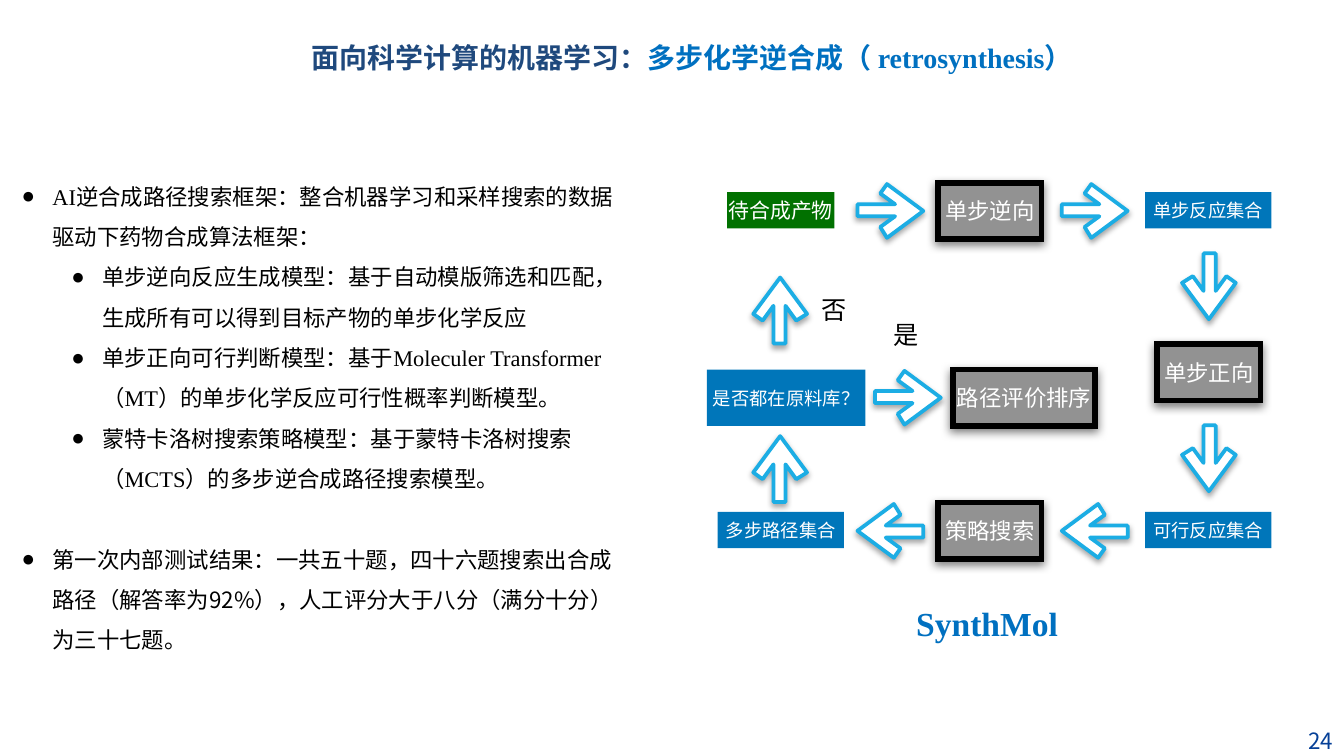
"""Build the slide on multi-step retrosynthesis."""
from typing import NamedTuple

from lxml.etree import SubElement
from pptx import Presentation
from pptx.dml.color import RGBColor
from pptx.enum.shapes import MSO_SHAPE
from pptx.enum.text import MSO_ANCHOR, MSO_AUTO_SIZE, PP_ALIGN
from pptx.oxml.ns import qn
from pptx.util import Pt

PX = 9144
WIDE = 1000
SERIF, SANS, CJK = "Times New Roman", "Arial", "Noto Sans CJK SC"
HEX = {
    "black": "000000", "white": "FFFFFF", "gray": "929292", "green": "017100",
    "blue": "0076BA", "sky": "1CADE4", "title": "1F497D", "accent": "0070C0",
    "page": "064097",
}
TIP = [(22, 0), (17, 7), (28, 15), (0, 15), (0, 24), (28, 24), (17, 32), (22, 40), (49, 20)]
TIP_W, TIP_H = 49, 40
PITCH = 21.6
LEFT, MID, RIGHT = 581, 737, 899
TOP, LOW, ASK = 157, 395, 296


class Node(NamedTuple):
    text: str
    x: int
    y: int
    wide: int
    high: int
    fill: str
    size: float


class Arrow(NamedTuple):
    x: int
    y: int
    turn: int


class Label(NamedTuple):
    text: str
    box: tuple[int, int, int, int]
    face: str
    size: float
    color: str
    bold: bool = False
    align: PP_ALIGN = PP_ALIGN.CENTER


class Point(NamedTuple):
    text: str
    level: int = 0
    face: str = SERIF
    gap: float = 0


def model(text: str, x: int, y: int, wide: int = 77) -> Node:
    return Node(text, x, y, wide, 42, "gray", 12)


def batch(text: str, x: int, y: int, wide: int = 94, high: int = 27) -> Node:
    return Node(text, x, y, wide, high, "blue", 9.8)


NODES = [
    Node("待合成产物", LEFT, TOP, 80, 27, "green", 11.2),
    model("单步逆向", MID, TOP),
    batch("单步反应集合", RIGHT, TOP),
    model("单步正向", RIGHT + 1, 277),
    batch("可行反应集合", RIGHT, LOW),
    model("策略搜索", MID, LOW),
    batch("多步路径集合", LEFT, LOW),
    batch("是否都在原料库？", 585, ASK, 118, 42),
    model("路径评价排序", 762, ASK, 106),
]
ARROWS = [
    Arrow(662, TOP, 0), Arrow(814, TOP, 0), Arrow(RIGHT, 213, 90),
    Arrow(RIGHT, 341, 90), Arrow(814, LOW, 180), Arrow(662, LOW, 180),
    Arrow(LEFT - 1, 349, 270), Arrow(675, ASK, 0), Arrow(LEFT - 1, 231, 270),
]
LABELS = [
    Label("否", (607, 214, 27, 33), SERIF, 13.5, "black"),
    Label("是", (661, 232, 27, 33), SERIF, 13.5, "black"),
    Label("SynthMol", (676, 445, 117, 37), SERIF, 18, "accent", True),
    Label("24", (865, 529, 127, 44), CJK, 12, "page", align=PP_ALIGN.RIGHT),
]
POINTS = [
    Point("AI逆合成路径搜索框架：整合机器学习和采样搜索的数据驱动下药物合成算法框架："),
    Point("单步逆向反应生成模型：基于自动模版筛选和匹配，生成所有可以得到目标产物的单步化学反应", 1),
    Point("单步正向可行判断模型：基于Moleculer Transformer（MT）的单步化学反应可行性概率判断模型。", 1),
    Point("蒙特卡洛树搜索策略模型：基于蒙特卡洛树搜索（MCTS）的多步逆合成路径搜索模型。", 1),
    Point("第一次内部测试结果：一共五十题，四十六题搜索出合成路径（解答率为92%），人工评分大于八分（满分十分）为三十七题。",
          face=CJK, gap=PITCH),
]


def paint(name: str) -> RGBColor:
    return RGBColor.from_string(HEX[name])


def style(par, face: str, size: float, color: str, bold: bool = False) -> None:
    font = par.font
    font.size, font.bold, font.name = Pt(size), bold, face
    font.color.rgb = paint(color)
    base = par._p.get_or_add_pPr().find(qn("a:defRPr"))
    SubElement(base, qn("a:ea"), typeface=CJK)


def place(shape, x: int, y: int, wide: int, high: int) -> None:
    shape.left, shape.top = x * PX, y * PX
    shape.width, shape.height = wide * PX, high * PX


def frame(shape, anchor: MSO_ANCHOR, side: int = 0, top: int = 0, wrap: bool = True):
    text = shape.text_frame
    text.margin_left = text.margin_right = side * PX
    text.margin_top = text.margin_bottom = top * PX
    text.vertical_anchor, text.word_wrap = anchor, wrap
    text.auto_size = MSO_AUTO_SIZE.NONE
    return text


def shade(shape, alpha: int, blur: float, drop: float) -> None:
    group = shape._element.spPr.find(qn("a:effectLst"))
    cast = SubElement(group, qn("a:outerShdw"), blurRad=str(Pt(blur)),
                      dist=str(Pt(drop)), dir="5400000", rotWithShape="0")
    tone = SubElement(cast, qn("a:srgbClr"), val=HEX["black"])
    SubElement(tone, qn("a:alpha"), val=str(alpha * 1000))


def coat(shape, fill: str, line: str = "", width: float = 0) -> None:
    shape.fill.solid()
    shape.fill.fore_color.rgb = paint(fill)
    if line:
        shape.line.color.rgb = paint(line)
        shape.line.width = Pt(width)
    else:
        shape.line.fill.background()
    shape.shadow.inherit = False


def draw_node(shapes, node: Node) -> None:
    box = shapes.add_shape(
        MSO_SHAPE.RECTANGLE, (2 * node.x - node.wide) // 2 * PX,
        (2 * node.y - node.high) // 2 * PX, node.wide * PX, node.high * PX)
    if node.fill == "gray":
        coat(box, node.fill, "black", 3)
        SubElement(box._element.spPr.find(qn("a:ln")), qn("a:miter"), lim="400000")
        shade(box, 50, 5, 2)
    else:
        coat(box, node.fill)
    par = frame(box, MSO_ANCHOR.MIDDLE, wrap=False).paragraphs[0]
    par.text, par.alignment = node.text, PP_ALIGN.CENTER
    style(par, SANS, node.size, "white")


def draw_arrow(shapes, arrow: Arrow) -> None:
    x, y = arrow.x - TIP_W // 2, arrow.y - TIP_H // 2
    start, *rest = [(x + dx, y + dy) for dx, dy in TIP]
    pen = shapes.build_freeform(*start, scale=PX)
    pen.add_line_segments(rest, close=True)
    shape = pen.convert_to_shape()
    shape.rotation = arrow.turn
    coat(shape, "white", "sky", 2)
    shade(shape, 35, 3, 1.8)


def draw_label(shapes, label: Label) -> None:
    box = shapes.add_textbox(*(side * PX for side in label.box))
    par = frame(box, MSO_ANCHOR.MIDDLE, wrap=False).paragraphs[0]
    par.text, par.alignment = label.text, label.align
    style(par, label.face, label.size, label.color, label.bold)


def fill_title(shape) -> None:
    place(shape, 140, 28, 750, 43)
    par = frame(shape, MSO_ANCHOR.TOP, 10, 4).paragraphs[0]
    par.alignment, par.line_spacing = PP_ALIGN.CENTER, Pt(16.5)
    style(par, SERIF, 15, "title", True)
    par.add_run().text = "面向科学计算的机器学习："
    topic = par.add_run()
    topic.text = "多步化学逆合成（ retrosynthesis）"
    topic.font.color.rgb = paint("accent")


def fill_body(shape) -> None:
    place(shape, 12, 121, 453, 369)
    text = frame(shape, MSO_ANCHOR.TOP, 4, 5)
    text.margin_right = 3 * PX
    for i, point in enumerate(POINTS):
        par = text.add_paragraph() if i else text.paragraphs[0]
        par.text, par.level = point.text, point.level
        par.line_spacing, par.space_before = Pt(PITCH), Pt(point.gap)
        props = par._p.get_or_add_pPr()
        props.set("marL", str((60 if point.level else 23) * PX))
        props.set("indent", str(-23 * PX))
        SubElement(props, qn("a:buChar"), char="●")
        style(par, point.face, 12, "black")


def main() -> None:
    deck = Presentation()
    deck.slide_width, deck.slide_height = WIDE * PX, WIDE * PX * 9 // 16
    slide = deck.slides.add_slide(deck.slide_layouts[1])
    fill_title(slide.shapes.title)
    fill_body(slide.placeholders[1])
    for draw, items in ((draw_node, NODES), (draw_arrow, ARROWS), (draw_label, LABELS)):
        for item in items:
            draw(slide.shapes, item)
    deck.save("out.pptx")


if __name__ == "__main__":
    main()
